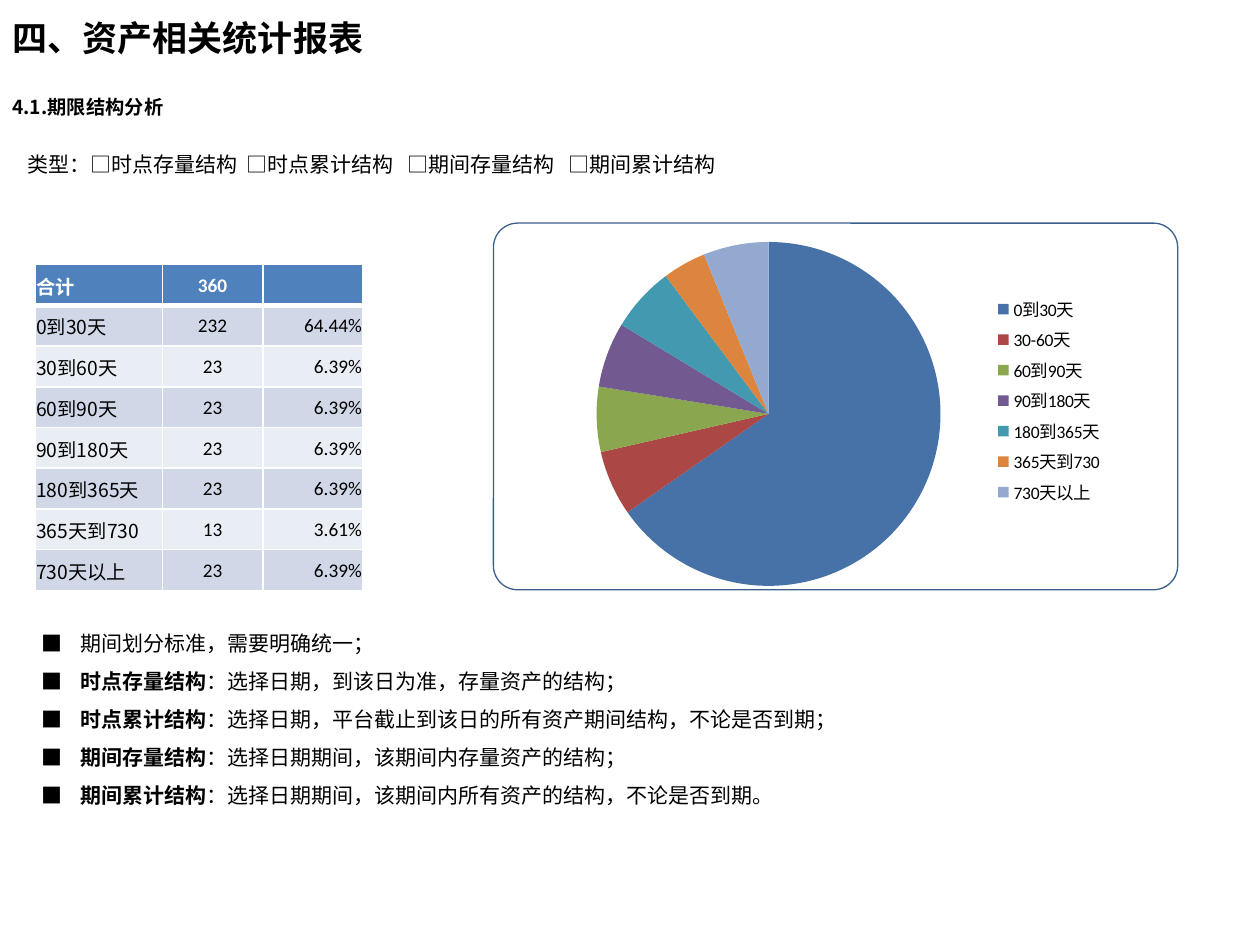
from collections import namedtuple

from lxml import etree
from pptx import Presentation
from pptx.chart.data import CategoryChartData
from pptx.dml.color import RGBColor
from pptx.enum import chart as charts, shapes, text
from pptx.oxml import ns
from pptx.util import Pt

CJK, LATIN = "Noto Sans CJK SC", "Calibri"
BLACK = RGBColor(0x00, 0x00, 0x00)
WHITE = RGBColor(0xFF, 0xFF, 0xFF)
OUTLINE = RGBColor(0x3A, 0x5F, 0x8C)
HEADER = RGBColor(0x4F, 0x81, 0xBD)
BANDS = (RGBColor(0xE9, 0xED, 0xF4), RGBColor(0xD0, 0xD8, 0xE8))
SLICES = [
    ("0到30天", 64, RGBColor(0x46, 0x72, 0xA8)),
    ("30-60天", 6, RGBColor(0xAB, 0x47, 0x44)),
    ("60到90天", 6, RGBColor(0x8A, 0xA6, 0x4F)),
    ("90到180天", 6, RGBColor(0x72, 0x59, 0x90)),
    ("180到365天", 6, RGBColor(0x42, 0x99, 0xB0)),
    ("365天到730", 4, RGBColor(0xDC, 0x85, 0x3E)),
    ("730天以上", 6, RGBColor(0x93, 0xA9, 0xD0)),
]
ROWS = [
    ("合计", "360", ""),
    ("0到30天", "232", "64.44%"),
    ("30到60天", "23", "6.39%"),
    ("60到90天", "23", "6.39%"),
    ("90到180天", "23", "6.39%"),
    ("180到365天", "23", "6.39%"),
    ("365天到730", "13", "3.61%"),
    ("730天以上", "23", "6.39%"),
]
NOTES = [
    ("", "期间划分标准，需要明确统一；"),
    ("时点存量结构", "：选择日期，到该日为准，存量资产的结构；"),
    ("时点累计结构", "：选择日期，平台截止到该日的所有资产期间结构，不论是否到期；"),
    ("期间存量结构", "：选择日期期间，该期间内存量资产的结构；"),
    ("期间累计结构", "：选择日期期间，该期间内所有资产的结构，不论是否到期。"),
]
TYPES = "类型：□时点存量结构\t□时点累计结构\t□期间存量结构\t□期间累计结构"

Box = namedtuple("Box", "left top width height")


def points(box):
    return [Pt(value) for value in box]


def place(shape, box):
    shape.left, shape.top, shape.width, shape.height = points(box)


def add_xml(parent, tag, **attributes):
    return etree.SubElement(parent, ns.qn(tag), attributes)


def style(span, size, bold=False, color=BLACK, face=CJK):
    font = span.font
    font.size, font.bold, font.name = Pt(size), bold, face
    font.color.rgb = color
    add_xml(span._r.get_or_add_rPr(), "a:ea", typeface=CJK)


def fill_title(page, box):
    title = page.shapes.title
    place(title, box)
    frame = title.text_frame
    frame.text = "四、资产相关统计报表"
    frame.auto_size = text.MSO_AUTO_SIZE.NONE
    frame.vertical_anchor = text.MSO_ANCHOR.MIDDLE
    para = frame.paragraphs[0]
    para.alignment = text.PP_ALIGN.LEFT
    style(para.runs[0], 20, bold=True)


def add_line_of_text(page, box, words, size, bold=False, tabs=()):
    frame = page.shapes.add_textbox(*points(box)).text_frame
    frame.word_wrap = True
    frame.text = words
    para = frame.paragraphs[0]
    if tabs:
        tab_list = add_xml(para._p.get_or_add_pPr(), "a:tabLst")
        for position in tabs:
            add_xml(tab_list, "a:tab", pos=str(Pt(position)), algn="l")
    for span in para.runs:
        style(span, size, bold)


def add_borders(cell, bottom):
    properties = cell._tc.get_or_add_tcPr()
    for side, width in (("L", 1), ("R", 1), ("T", 1), ("B", bottom)):
        line = add_xml(properties, "a:ln" + side, w=str(Pt(width)))
        add_xml(add_xml(line, "a:solidFill"), "a:srgbClr", val=str(WHITE))


def add_term_table(page, box):
    widths = (72.8, 57.4, 57.4)
    table = page.shapes.add_table(len(ROWS), len(widths), *points(box)).table
    for column, width in zip(table.columns, widths):
        column.width = Pt(width)
    aligns = (text.PP_ALIGN.LEFT, text.PP_ALIGN.CENTER, text.PP_ALIGN.RIGHT)
    for r, row in enumerate(ROWS):
        table.rows[r].height = Pt(box.height / len(ROWS))
        is_header = r == 0
        for c, words in enumerate(row):
            cell = table.cell(r, c)
            cell.margin_left = cell.margin_right = cell.margin_top = Pt(0.72)
            cell.margin_bottom = 0
            cell.vertical_anchor = text.MSO_ANCHOR.MIDDLE
            add_borders(cell, 3 if is_header else 1)
            cell.fill.solid()
            cell.fill.fore_color.rgb = HEADER if is_header else BANDS[r % 2]
            cell.text = words
            para = cell.text_frame.paragraphs[0]
            para.alignment = aligns[c]
            for span in para.runs:
                style(span, 11, is_header, WHITE if is_header else BLACK,
                      LATIN if c else CJK)


def set_chart_layout(parent, index, **fractions):
    """Fix a chart part's place as fractions of the chart's size."""
    for old in parent.findall(ns.qn("c:layout")):
        parent.remove(old)
    layout = etree.Element(ns.qn("c:layout"))
    manual = add_xml(layout, "c:manualLayout")
    if index == 0:
        add_xml(manual, "c:layoutTarget", val="inner")
    for mode in ("xMode", "yMode"):
        add_xml(manual, "c:" + mode, val="edge")
    for name, value in fractions.items():
        add_xml(manual, "c:" + name, val=str(value))
    parent.insert(index, layout)


def add_pie_card(page, box):
    card = page.shapes.add_shape(shapes.MSO_SHAPE.ROUNDED_RECTANGLE, *points(box))
    card.shadow.inherit = False
    card.adjustments[0] = 0.066
    card.fill.solid()
    card.fill.fore_color.rgb = WHITE
    card.line.color.rgb = OUTLINE
    card.line.width = Pt(0.75)

    data = CategoryChartData()
    data.categories = [name for name, _, _ in SLICES]
    data.add_series("Series 1", [value for _, value, _ in SLICES])
    area = Box(box.left + 15, box.top, 360, 216)
    chart = page.shapes.add_chart(charts.XL_CHART_TYPE.PIE, *points(area), data).chart
    chart.has_title = False
    chart.font.name, chart.font.size = LATIN, Pt(10)
    chart.font.color.rgb = BLACK
    chart.has_legend = True
    chart.legend.position = charts.XL_LEGEND_POSITION.RIGHT
    chart.legend.include_in_layout = False
    plot = chart.plots[0]
    plot.vary_by_categories = True
    for index, (_, _, color) in enumerate(SLICES):
        fill = plot.series[0].points[index].format.fill
        fill.solid()
        fill.fore_color.rgb = color
    plot_area = chart._chartSpace.find(".//" + ns.qn("c:plotArea"))
    set_chart_layout(plot_area, 0, x=0.12, y=0.05, w=0.55, h=0.91)
    set_chart_layout(chart.legend._element, 1, x=0.73, y=0.18, w=0.22, h=0.58)


def fill_notes(page, box):
    body = page.placeholders[1]
    place(body, box)
    frame = body.text_frame
    frame.auto_size = text.MSO_AUTO_SIZE.NONE
    frame.text = "\n".join(term + meaning for term, meaning in NOTES)
    for para, parts in zip(frame.paragraphs, NOTES):
        properties = para._p.get_or_add_pPr()
        properties.set("marL", str(Pt(22.5)))
        properties.set("indent", str(Pt(-22.5)))
        add_xml(properties, "a:buFont", typeface=CJK)
        add_xml(properties, "a:buChar", char="■")
        para.line_spacing = Pt(21.7)
        para.space_before = Pt(0)
        para.text = ""
        for words, bold in zip(parts, (True, False)):
            if words:
                span = para.add_run()
                span.text = words
                style(span, 12, bold)


def main():
    deck = Presentation()
    deck.slide_width, deck.slide_height = Pt(720), Pt(540)
    page = deck.slides.add_slide(deck.slide_layouts[1])
    fill_title(page, Box(0, -0.7, 530, 44))
    add_line_of_text(page, Box(0, 51, 620, 21), "4.1.期限结构分析", 11, bold=True)
    add_line_of_text(page, Box(8.6, 83, 630, 22), TYPES, 12, tabs=(125, 217, 309))
    add_pie_card(page, Box(282, 127.5, 391, 209.5))
    add_term_table(page, Box(20, 151.2, 187.6, 186.4))
    fill_notes(page, Box(16.5, 349.2, 648, 116.6))
    deck.save("out.pptx")


if __name__ == "__main__":
    main()
